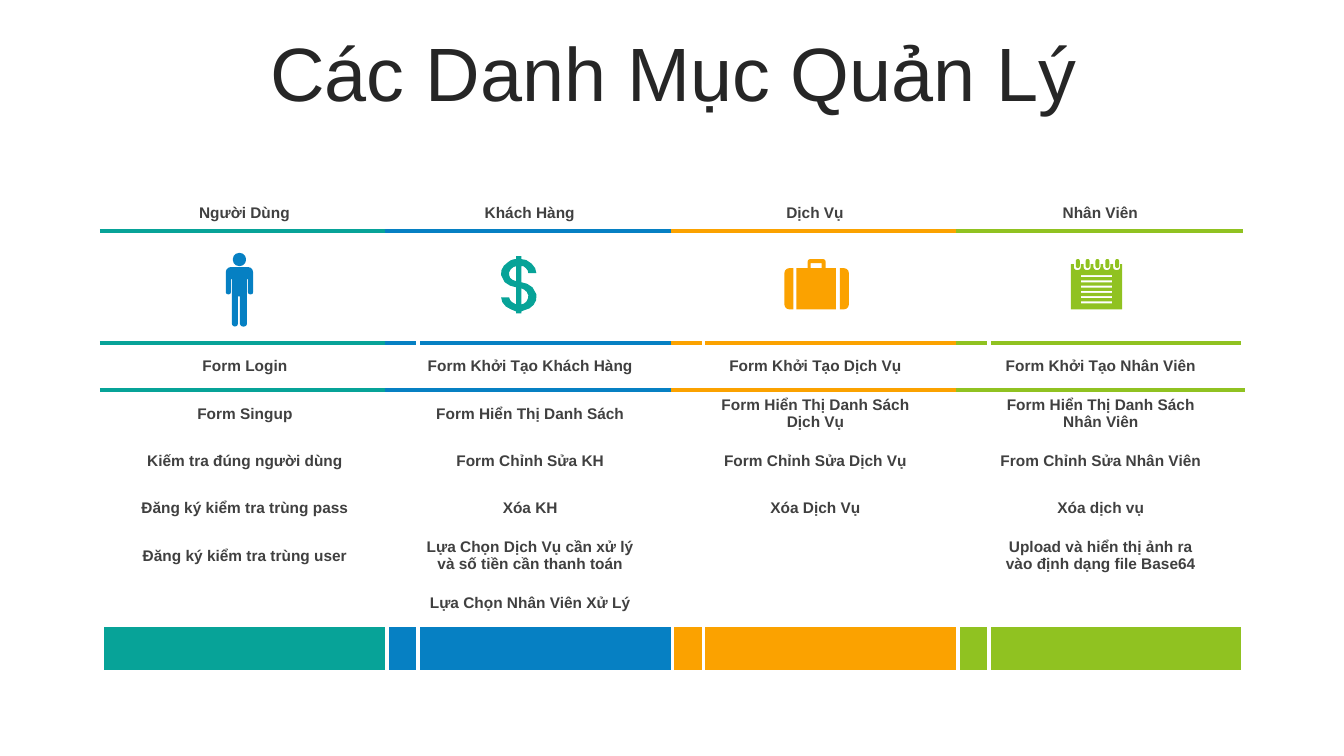
import dataclasses
import typing

import lxml.etree
import pptx
import pptx.dml.color
import pptx.enum.text
import pptx.oxml.ns
import pptx.util

Inches, Pt = pptx.util.Inches, pptx.util.Pt
Contour = list[tuple[float, ...]]

COLORS = {"teal": "07A398", "blue": "0680C3", "orange": "FBA200", "green": "90C221",
          "white": "FFFFFF", "text": "404040", "title": "262626"}
COLUMN_WIDTHS = (0.31, 2.22, 0.3)
ROW_HEIGHTS = (0.36, 1.11) + (0.47,) * 6 + (0.45,)
ICON_ROW, BAR_ROW = 1, 8
NO_STYLE = "{2D5ABB26-0587-4C30-8999-92F81FD0307C}"


@dataclasses.dataclass
class Category:
    name: str
    color: str
    forms: list[str]


@dataclasses.dataclass
class Icon:
    color: str
    contours: list[Contour]
    rotation: float = 0


def rgb(name: str) -> pptx.dml.color.RGBColor:
    """Return a named colour."""
    return pptx.dml.color.RGBColor.from_string(COLORS[name])


def rounded(corners: Contour) -> Contour:
    """Turn (x, y, radius) corners into lines and cubic curves."""
    segs: Contour = []
    for i, (x, y, *radius) in enumerate(corners):
        if not radius:
            segs.append((x, y))
            continue
        ends = []
        for nx, ny, *_ in (corners[i - 1], corners[(i + 1) % len(corners)]):
            dist = abs(nx - x) + abs(ny - y)
            ends.append(((nx - x) / dist * radius[0], (ny - y) / dist * radius[0]))
        (ax, ay), (bx, by) = ends
        segs += [(x + ax, y + ay), (x + 0.45 * ax, y + 0.45 * ay,
                                    x + 0.45 * bx, y + 0.45 * by, x + bx, y + by)]
    return segs


def box(x: float, y: float, w: float, h: float, left: float = 0, right: float = 0) -> Contour:
    """Return a box with rounded left and right corners."""
    corners = [(x, y, left), (x + w, y, right), (x + w, y + h, right), (x, y + h, left)]
    return rounded([c if c[2] else c[:2] for c in corners])


def flatten(contour: Contour, steps: int = 3) -> list[tuple[int, int]]:
    """Sample the lines and curves of a contour as points."""
    pts: list[tuple[float, float]] = []
    for seg in contour:
        if len(seg) == 2:
            pts.append(seg)
            continue
        knots = [pts[-1], seg[:2], seg[2:4], seg[4:]]
        for k in range(1, steps + 1):
            t = k / steps
            weights = ((1 - t) ** 3, 3 * t * (1 - t) ** 2, 3 * t * t * (1 - t), t ** 3)
            pts.append(tuple(sum(w * kn[a] for w, kn in zip(weights, knots)) for a in (0, 1)))
    return [(Inches(x), Inches(y)) for x, y in pts]


def add_icon(shapes: typing.Any, icon: Icon) -> None:
    """Draw an icon as one freeform."""
    outlines = [flatten(c) for c in icon.contours]
    builder = shapes.build_freeform(*outlines[0][0])
    for i, pts in enumerate(outlines):
        if i:
            builder.move_to(*pts[0])
        builder.add_line_segments(pts[1:], close=True)
    sp = builder.convert_to_shape()
    sp.fill.solid()
    sp.fill.fore_color.rgb = rgb(icon.color)
    sp.line.fill.background()
    sp.shadow.inherit = False
    sp.rotation = icon.rotation


def add_run(p: typing.Any, text: str, size: float, color: str, bold: bool = False) -> None:
    """Add a centred run of Arial text."""
    p.alignment = pptx.enum.text.PP_ALIGN.CENTER
    r = p.add_run()
    r.text = text
    r.font.name, r.font.size, r.font.bold = "Arial", Pt(size), bold
    r.font.color.rgb = rgb(color)


def format_cell(cell: typing.Any, fill: str, borders: dict[str, str]) -> None:
    """Set the borders, fill and margins of a cell."""
    tc_pr = cell._tc.get_or_add_tcPr()
    qn = pptx.oxml.ns.qn
    for side in "LRTB":
        if side in borders:
            ln = lxml.etree.SubElement(tc_pr, qn(f"a:ln{side}"), w=str(Pt(3)))
            solid = lxml.etree.SubElement(ln, qn("a:solidFill"))
            lxml.etree.SubElement(solid, qn("a:srgbClr"), val=COLORS[borders[side]])
    cell.fill.solid()
    cell.fill.fore_color.rgb = rgb(fill)
    cell.margin_left = cell.margin_right = Inches(0.08)
    cell.margin_top = cell.margin_bottom = Inches(0.04)
    cell.vertical_anchor = pptx.enum.text.MSO_ANCHOR.MIDDLE


def add_categories(shapes: typing.Any, categories: list[Category]) -> None:
    """Add the table, three columns for each category."""
    span = len(COLUMN_WIDTHS)
    frame = shapes.add_table(len(ROW_HEIGHTS), span * len(categories), Inches(1.01),
                             Inches(1.93), Inches(11.32), Inches(4.73))
    table = frame.table
    table.first_row = table.horz_banding = False
    table._tbl.tblPr.find(pptx.oxml.ns.qn("a:tableStyleId")).text = NO_STYLE
    for row, height in zip(table.rows, ROW_HEIGHTS):
        row.height = Inches(height)
    for i, col in enumerate(table.columns):
        col.width = Inches(COLUMN_WIDTHS[i % span])
    for g, cat in enumerate(categories):
        first = g * span
        for row in range(len(ROW_HEIGHTS)):
            for k in range(span):
                borders = {}
                if k == 0:
                    borders["L"] = "white"
                if k == span - 1:
                    borders["R"] = "white"
                if row <= ICON_ROW + 1:
                    borders["T"] = cat.color if row else "white"
                if row <= ICON_ROW:
                    borders["B"] = cat.color
                if row == BAR_ROW:
                    borders["B"] = "white"
                fill = cat.color if row == BAR_ROW else "white"
                format_cell(table.cell(row, first + k), fill, borders)
            if row <= ICON_ROW:
                table.cell(row, first).merge(table.cell(row, first + span - 1))
        texts = [(0, first, cat.name)]
        texts += [(row, first + 1, form) for row, form in enumerate(cat.forms, ICON_ROW + 1)]
        for row, col, text in texts:
            add_run(table.cell(row, col).text_frame.paragraphs[0], text, 11, "text", True)


CATEGORIES = [
    Category("Người Dùng", "teal", [
        "Form Login", "Form Singup", "Kiếm tra đúng người dùng",
        "Đăng ký kiểm tra trùng pass", "Đăng ký kiểm tra trùng user"]),
    Category("Khách Hàng", "blue", [
        "Form Khởi Tạo Khách Hàng", "Form Hiển Thị Danh Sách", "Form Chỉnh Sửa KH", "Xóa KH",
        "Lựa Chọn Dịch Vụ cần xử lý và số tiền cần thanh toán", "Lựa Chọn Nhân Viên Xử Lý"]),
    Category("Dịch Vụ", "orange", [
        "Form Khởi Tạo Dịch Vụ", "Form Hiển Thị Danh Sách Dịch Vụ",
        "Form Chỉnh Sửa Dịch Vụ", "Xóa Dịch Vụ"]),
    Category("Nhân Viên", "green", [
        "Form Khởi Tạo Nhân Viên", "Form Hiển Thị Danh Sách Nhân Viên",
        "From Chỉnh Sửa Nhân Viên", "Xóa dịch vụ",
        "Upload và hiển thị ảnh ra vào định dạng file Base64"]),
]

person = [
    rounded([(2.24, 2.65, 0.05), (2.51, 2.65, 0.05), (2.51, 2.92, 0.02), (2.46, 2.92, 0.02),
             (2.46, 2.77), (2.45, 2.77), (2.45, 3.24, 0.03), (2.38, 3.24, 0.03), (2.38, 2.94),
             (2.36, 2.94), (2.36, 3.24, 0.03), (2.3, 3.24, 0.03), (2.3, 2.77), (2.29, 2.77),
             (2.29, 2.92, 0.02), (2.24, 2.92, 0.02)]),
    box(2.31, 2.51, 0.13, 0.13, 0.06, 0.06)]
dollar = [
    [(5.17, 2.86), (5.17, 3.01), (5.2, 3),
     (5.23, 2.98, 5.25, 2.95, 5.24, 2.92), (5.24, 2.89, 5.21, 2.87, 5.17, 2.86)],
    [(5.12, 2.63), (5.09, 2.64), (5.06, 2.66, 5.05, 2.69, 5.05, 2.72),
     (5.06, 2.76, 5.09, 2.78, 5.12, 2.79)],
    [(5.12, 2.54), (5.17, 2.54), (5.17, 2.56), (5.22, 2.58),
     (5.28, 2.6, 5.32, 2.65, 5.32, 2.7), (5.24, 2.7), (5.24, 2.68, 5.22, 2.65, 5.19, 2.64),
     (5.17, 2.63), (5.17, 2.8), (5.23, 2.81, 5.3, 2.83, 5.32, 2.92),
     (5.33, 2.97, 5.3, 3.02, 5.25, 3.05), (5.23, 3.07, 5.2, 3.08, 5.17, 3.08), (5.17, 3.11),
     (5.12, 3.11), (5.12, 3.08), (5.07, 3.07),
     (5.01, 3.04, 4.97, 2.99, 4.97, 2.94), (5.05, 2.94), (5.05, 2.97, 5.07, 2.99, 5.1, 3.01),
     (5.12, 3.01), (5.12, 2.85), (5.06, 2.84, 5, 2.82, 4.97, 2.73),
     (4.96, 2.67, 4.99, 2.62, 5.04, 2.59), (5.07, 2.58, 5.1, 2.57, 5.12, 2.56)]]
suitcase = [
    box(7.78, 2.66, 0.09, 0.41, left=0.05), box(8.33, 2.66, 0.09, 0.41, right=0.05),
    rounded([(7.9, 2.66), (8.01, 2.66), (8.01, 2.57, 0.03), (8.19, 2.57, 0.03), (8.19, 2.66),
             (8.29, 2.66), (8.29, 3.07), (7.9, 3.07)]),
    box(8.04, 2.61, 0.11, 0.05)]
ring_lefts = [10.65 + 0.39 / 4 * i for i in range(5)]
page = [(10.62, 3.07), (10.62, 2.62)]
for x in ring_lefts:
    page += [(x, 2.62), (x, 2.68, 0.03), (x + 0.07, 2.68, 0.03), (x + 0.07, 2.62)]
page += [(11.13, 2.62), (11.13, 3.07)]
notebook = [rounded(page)]
notebook += [box(x + 0.02, 2.57, 0.04, 0.09, 0.02, 0.02) for x in ring_lefts]
notebook += [box(10.72, 2.73 + 0.26 / 5 * i, 0.31, 0.02) for i in range(6)]
ICONS = [Icon("blue", person), Icon("teal", dollar, 180), Icon("orange", suitcase),
         Icon("green", notebook)]

prs = pptx.Presentation()
prs.slide_width, prs.slide_height = Inches(13.33), Inches(7.5)
slide = prs.slides.add_slide(prs.slide_layouts[5])
title = slide.shapes.title
title.left, title.top, title.width, title.height = map(Inches, (0.35, 0.37, 12.66, 0.79))
tf = title.text_frame
tf.auto_size = pptx.enum.text.MSO_AUTO_SIZE.NONE
tf.vertical_anchor = pptx.enum.text.MSO_ANCHOR.MIDDLE
p = tf.paragraphs[0]
p.line_spacing, p.space_before = 0.9, Pt(10)
add_run(p, "Các Danh Mục Quản Lý", 54, "title")
add_categories(slide.shapes, CATEGORIES)
for icon in ICONS:
    add_icon(slide.shapes, icon)
prs.save("out.pptx")
